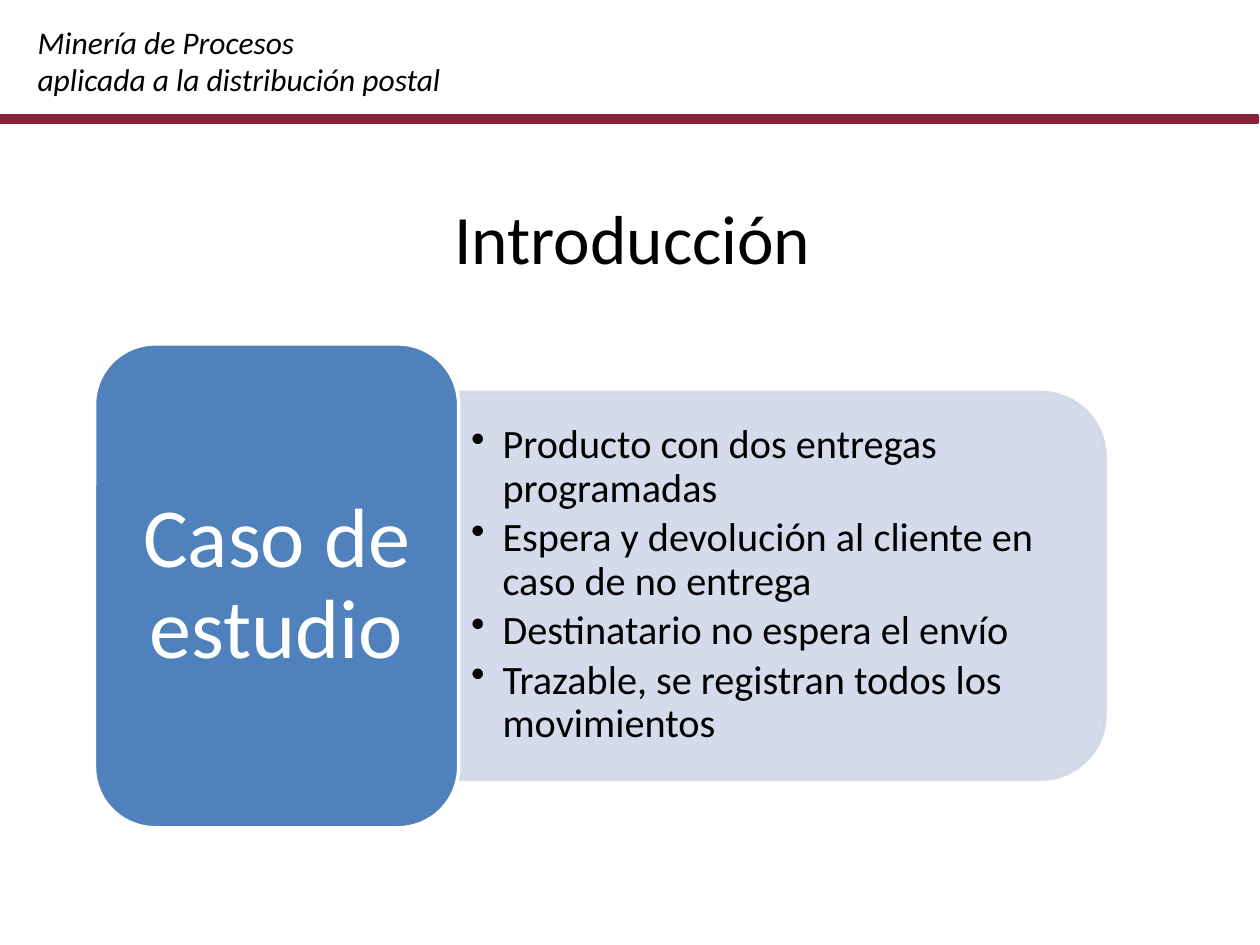
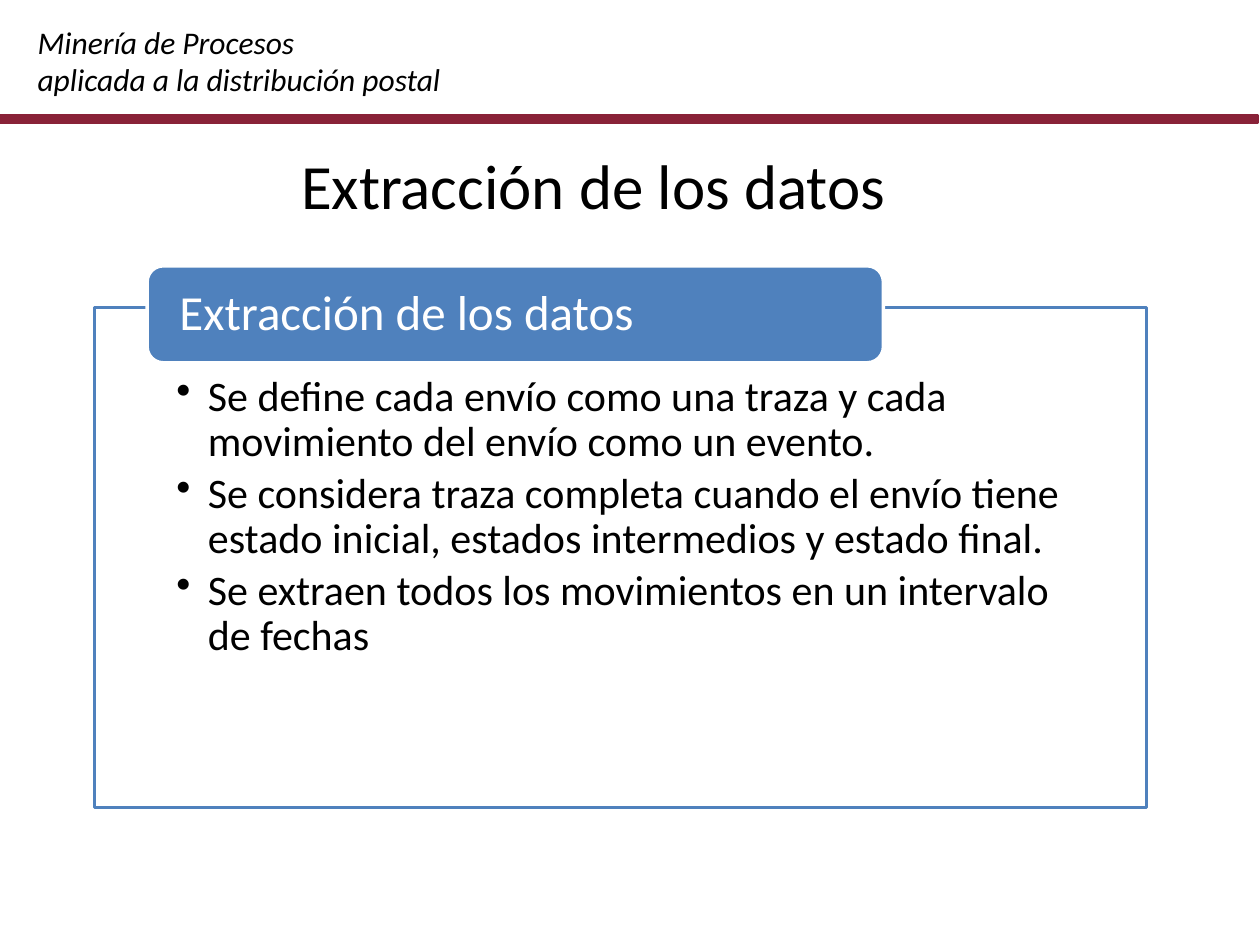
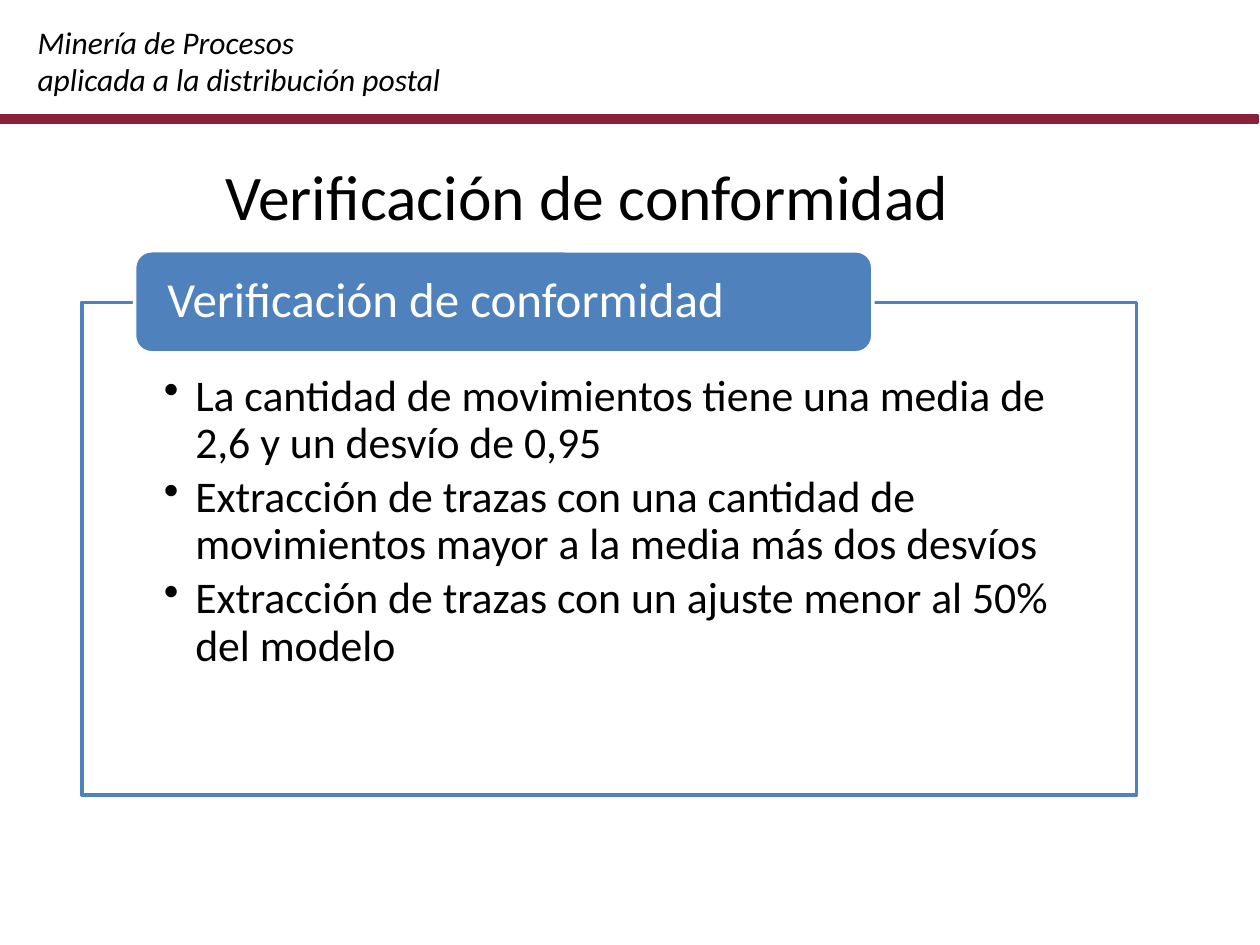
"""Build three slides on process mining for postal delivery."""
from dataclasses import dataclass

from lxml import etree
from pptx import Presentation
from pptx.dml.color import RGBColor
from pptx.enum.shapes import MSO_SHAPE
from pptx.enum.text import MSO_ANCHOR, PP_ALIGN
from pptx.oxml.ns import qn
from pptx.util import Inches, Pt

RECT = MSO_SHAPE.RECTANGLE
ROUND = MSO_SHAPE.ROUNDED_RECTANGLE
TWO_ROUND = MSO_SHAPE.ROUND_2_SAME_RECTANGLE
TOP, MIDDLE = MSO_ANCHOR.TOP, MSO_ANCHOR.MIDDLE
LEFT, CENTER = PP_ALIGN.LEFT, PP_ALIGN.CENTER


@dataclass(frozen=True)
class Theme:
    """Hold the colours and type sizes of the deck."""

    font: str = "Calibri"
    black: str = "000000"
    white: str = "FFFFFF"
    blue: str = "4F81BD"
    pale: str = "D0D8E8"
    wine: str = "892238"
    head: float = 18
    tab: float = 28
    block: float = 48
    edge: float = 2
    tight: float = 0.9


THEME = Theme()
INSETS = (0.1, 0.05, 0.1, 0.05)
HEADER = ("Minería de Procesos", "aplicada a la distribución postal")
CASE = (
    "Producto con dos entregas programadas",
    "Espera y devolución al cliente en caso de no entrega",
    "Destinatario no espera el envío",
    "Trazable, se registran todos los movimientos",
)
EXTRACT = (
    "Se define cada envío como una traza y cada movimiento del envío como un evento.",
    "Se considera traza completa cuando el envío tiene estado inicial, "
    "estados intermedios y estado final.",
    "Se extraen todos los movimientos en un intervalo de fechas",
)
VERIFY = (
    "La cantidad de movimientos tiene una media de 2,6 y un desvío de 0,95",
    "Extracción de trazas con una cantidad de movimientos mayor a la media más dos desvíos",
    "Extracción de trazas con un ajuste menor al 50% del modelo",
)


def add_run(para, text, size, color=THEME.black, italic=False):
    """Add one styled run to a paragraph."""
    run = para.add_run()
    run.text = text
    run.font.name = THEME.font
    run.font.size = Pt(size)
    run.font.italic = italic
    run.font.color.rgb = RGBColor.from_string(color)


def set_frame(shape, anchor=TOP, insets=INSETS):
    """Set wrap, anchor and insets, and return the text frame."""
    frame = shape.text_frame
    frame.word_wrap = True
    frame.vertical_anchor = anchor
    sides = [Inches(inset) for inset in insets]
    frame.margin_left, frame.margin_top, frame.margin_right, frame.margin_bottom = sides
    return frame


def add_box(slide, box, anchor=TOP, insets=INSETS):
    """Add a text box and return its frame."""
    shape = slide.shapes.add_textbox(*map(Inches, box))
    return set_frame(shape, anchor, insets)


def add_form(slide, kind, box, fill, line):
    """Add a preset shape with a flat fill and line."""
    shape = slide.shapes.add_shape(kind, *map(Inches, box))
    shape.shadow.inherit = False
    shape.fill.solid()
    shape.fill.fore_color.rgb = RGBColor.from_string(fill)
    shape.line.color.rgb = RGBColor.from_string(line)
    shape.line.width = Pt(THEME.edge)
    return shape


def add_label(shape, text, size, align, insets):
    """Write a white label in the middle of a shape."""
    para = set_frame(shape, MIDDLE, insets).paragraphs[0]
    para.alignment = align
    para.line_spacing = THEME.tight
    add_run(para, text, size, THEME.white)


def add_list(frame, items, size):
    """Fill a frame with bulleted paragraphs."""
    for index, item in enumerate(items):
        para = frame.add_paragraph() if index else frame.paragraphs[0]
        props = para._p.get_or_add_pPr()
        props.set("marL", str(Inches(0.25)))
        props.set("indent", str(-Inches(0.25)))
        etree.SubElement(props, qn("a:buChar")).set("char", "•")
        para.level = 1
        para.alignment = LEFT
        para.line_spacing = THEME.tight
        para.space_after = Pt(round(0.15 * size, 1))
        add_run(para, item, size)


def add_title(slide, box, text, size, anchor=MIDDLE, insets=INSETS):
    """Add the centred slide title."""
    para = add_box(slide, box, anchor, insets).paragraphs[0]
    para.alignment = CENTER
    add_run(para, text, size)


def add_header(slide):
    """Add the wine band and the running header."""
    add_form(slide, RECT, (-0.02, 0.92, 10, 0.05), THEME.wine, THEME.wine)
    para = add_box(slide, (0.2, 0.13, 6.46, 0.71)).paragraphs[0]
    for index, line in enumerate(HEADER):
        if index:
            para.add_line_break()
        add_run(para, line, THEME.head, italic=True)


def add_case(slide, box, label, items, size):
    """Add a tall block with a rounded list panel at its right."""
    left, top, width, height = box
    wide, high = 2.89, 3.07
    span = width - wide
    start, mid = left + wide, top + height / 2
    turned = (start + (span - high) / 2, mid - span / 2, high, span)
    panel = add_form(slide, TWO_ROUND, turned, THEME.pale, THEME.pale)
    panel.rotation = 90
    for color in panel._element.spPr.iter(qn("a:srgbClr")):
        etree.SubElement(color, qn("a:alpha")).set("val", "90000")
    frame = add_box(slide, (start, mid - 1.39, span - 0.15, 2.77), MIDDLE)
    add_list(frame, items, size)
    block = add_form(slide, ROUND, (left, top, wide, height), THEME.blue, THEME.white)
    add_label(block, label, THEME.block, CENTER, (0.2, 0.1, 0.2, 0.1))


def add_panel(slide, box, label, items, size, rise, high):
    """Add a framed list with a tab that rises over its top edge."""
    left, top, width, _ = box
    panel = add_form(slide, RECT, box, THEME.white, THEME.blue)
    frame = set_frame(panel, TOP, (0.65, 0.7 * high, 0.65, 0.19))
    add_list(frame, items, size)
    place = (left + 0.05 * width, top - rise, 0.7 * width, high)
    tab = add_form(slide, ROUND, place, THEME.blue, THEME.white)
    add_label(tab, label, THEME.tab, LEFT, (0.22, 0, 0.22, 0))


def add_slide(deck):
    """Add a blank slide with the shared header."""
    slide = deck.slides.add_slide(deck.slide_layouts[6])
    add_header(slide)
    return slide


def main():
    """Build and save the deck."""
    deck = Presentation()
    deck.slide_width, deck.slide_height = Inches(10), Inches(7.5)

    slide = add_slide(deck)
    add_title(slide, (0.87, 1.55, 8.3, 1.26), "Introducción", 39.6, TOP, (0.1, 0, 0.1, 0))
    add_case(slide, (0.75, 2.73, 8.02, 3.84), "Caso de estudio", CASE, 23)

    slide = add_slide(deck)
    name = "Extracción de los datos"
    add_title(slide, (0.56, 1.15, 8.3, 0.63), name, 36)
    add_panel(slide, (0.75, 2.44, 8.35, 3.97), name, EXTRACT, 24, 0.33, 0.77)

    slide = add_slide(deck)
    name = "Verificación de conformidad"
    add_title(slide, (0.51, 1.23, 8.3, 0.63), name, 36.3)
    add_panel(slide, (0.65, 2.4, 8.37, 3.91), name, VERIFY, 25, 0.41, 0.81)

    deck.save("out.pptx")


if __name__ == "__main__":
    main()
